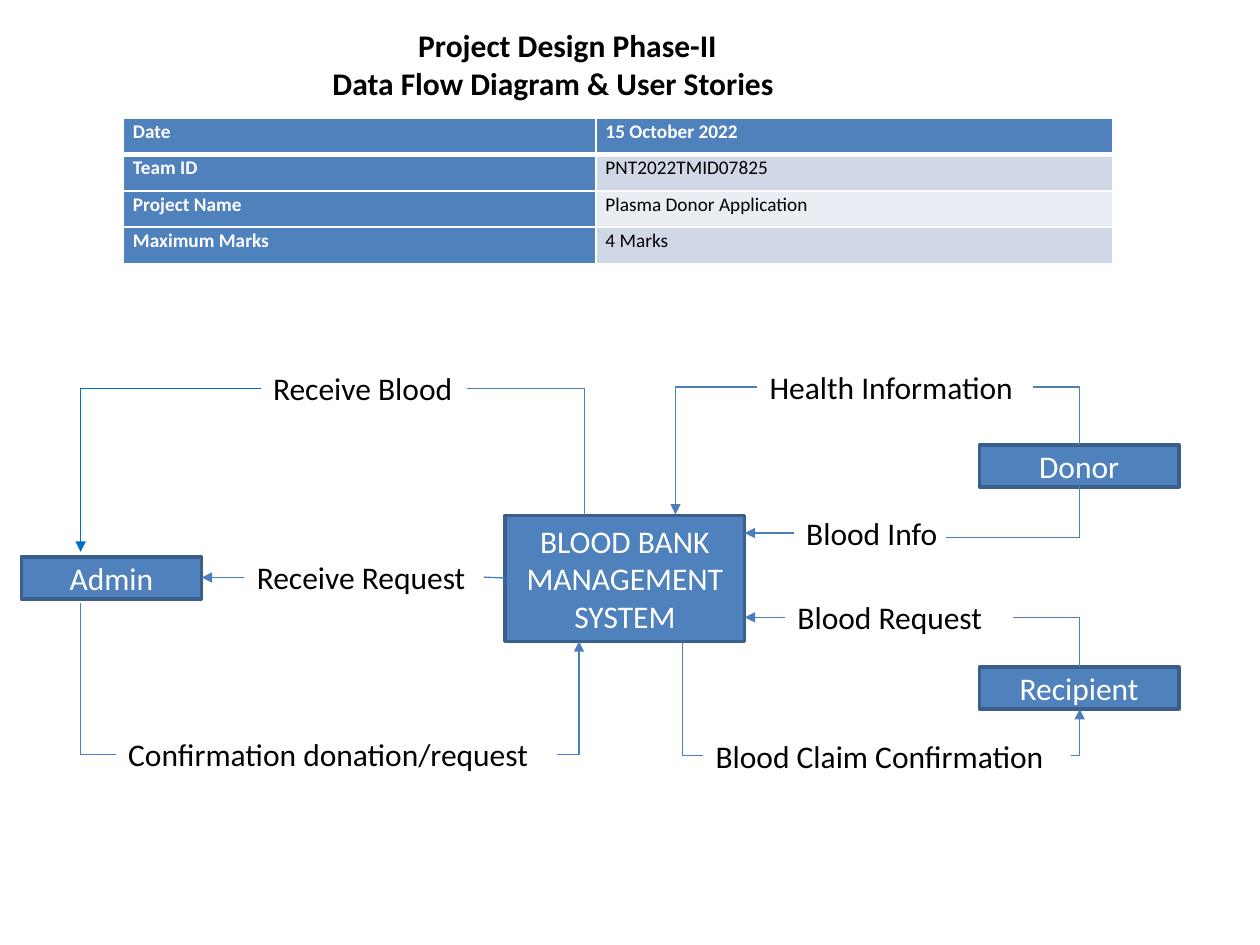
import pptx
import pptx.util
import pptx.dml.color
import pptx.enum.shapes
import pptx.enum.text
import pptx.oxml
import pptx.oxml.ns
from lxml import etree

Pt = pptx.util.Pt
RGB = pptx.dml.color.RGBColor
Align = pptx.enum.text.PP_ALIGN
Anchor = pptx.enum.text.MSO_ANCHOR
Link = pptx.enum.shapes.MSO_CONNECTOR
qn = pptx.oxml.ns.qn

BLACK = RGB(0x00, 0x00, 0x00)
WHITE = RGB(0xFF, 0xFF, 0xFF)
BLUE = RGB(0x4F, 0x81, 0xBD)
EDGE = RGB(0x3A, 0x5F, 0x8C)
FLOW = RGB(0x4B, 0x7E, 0xBC)
BRIGHT = RGB(0x00, 0x70, 0xC0)
BANDS = (RGB(0xE9, 0xED, 0xF4), RGB(0xD0, 0xD8, 0xE8))

ROWS = [
    ("Date", "15 October 2022"),
    ("Team ID", "PNT2022TMID07825"),
    ("Project Name", "Plasma Donor Application"),
    ("Maximum Marks", "4 Marks"),
]

# text, left, top, width, height
BOXES = [
    ("BLOOD BANK\nMANAGEMENT\nSYSTEM", 288.7, 294.5, 136.8, 72),
    ("Admin", 12.2, 318.2, 103, 24),
    ("Recipient", 559.7, 381.2, 114, 24),
    ("Donor", 559.7, 254.2, 114, 24),
]

# text, left, top, width
LABELS = [
    ("Health Information", 432.7, 206.8, 157.7),
    ("Blood Info", 453.6, 290.2, 95),
    ("Blood Request", 448.6, 338.4, 130.3),
    ("Blood Claim Confirmation", 401.8, 417.6, 210.2),
    ("Receive Blood", 149, 207.2, 118.1),
    ("Receive Request", 139.7, 315.4, 136.8),
    ("Confirmation donation/request", 66.2, 416.7, 252),
]

# x1, y1, x2, y2, arrow at end, colour; a bend leaves its start sideways
BENDS = [
    (149, 221.9, 46.1, 315.4, True, BRIGHT),
    (267.1, 221.9, 334.1, 294.5, False, FLOW),
    (590.4, 221.2, 617, 254.2, False, FLOW),
    (432.7, 221.2, 386, 294, True, FLOW),
    (540.7, 307.3, 617, 278, False, FLOW),
    (578.9, 352.8, 617, 381.2, False, FLOW),
    (401.8, 431.8, 390.2, 366.5, False, FLOW),
    (66.2, 431.1, 46.1, 344.7, False, FLOW),
    (318.2, 431.1, 330.9, 366.5, True, FLOW),
    (612, 431.8, 617, 405.2, True, FLOW),
]
LINES = [
    (139.7, 330, 115.2, 330, True, FLOW),
    (288.7, 330.3, 276.5, 329.8, False, FLOW),
    (453.6, 304.6, 425.5, 304.6, True, FLOW),
    (448.6, 352.8, 425.5, 352.8, True, FLOW),
]


def style(frame, size, color, bold=False, align=Align.LEFT):
    """Format every run of a text frame."""
    for para in frame.paragraphs:
        para.alignment = align
        for run in para.runs:
            font = run.font
            font.name, font.size, font.bold = "Calibri", Pt(size), bold
            font.color.rgb = color


def label(slide, text, left, top, width, height=28.8, bold=False):
    """Add plain black text and return its frame."""
    box = slide.shapes.add_textbox(Pt(left), Pt(top), Pt(width), Pt(height))
    frame = box.text_frame
    frame.word_wrap = True
    frame.text = text
    style(frame, 18, BLACK, bold)
    return frame


def title(slide):
    """Add the two-line heading with its first line set in."""
    text = "Project Design Phase-II\nData Flow Diagram & User Stories"
    frame = label(slide, text, 182.9, 11.5, 320.4, 72, True)
    props = frame.paragraphs[0]._p.get_or_add_pPr()
    props.set("marL", str(Pt(49)))
    props.set("indent", "0")


def box(slide, text, left, top, width, height):
    """Add a blue box with centred text."""
    kind = pptx.enum.shapes.MSO_SHAPE.RECTANGLE
    shape = slide.shapes.add_shape(kind, Pt(left), Pt(top), Pt(width), Pt(height))
    shape.shadow.inherit = False
    shape.fill.solid()
    shape.fill.fore_color.rgb = BLUE
    shape.line.color.rgb = EDGE
    shape.line.width = Pt(2)
    frame = shape.text_frame
    frame.word_wrap = True
    frame.vertical_anchor = Anchor.MIDDLE
    frame.text = text
    style(frame, 18, WHITE, align=Align.CENTER)


def flow(slide, kind, x1, y1, x2, y2, arrow, color):
    """Add a straight or once-bent line, with an arrow if asked."""
    line = slide.shapes.add_connector(kind, Pt(x1), Pt(y1), Pt(x2), Pt(y2))
    line.line.color.rgb = color
    line.line.width = Pt(0.75)
    props = line._element.spPr
    if kind == Link.ELBOW:
        props.find(qn("a:prstGeom")).set("prst", "bentConnector2")
    if arrow:
        tail = etree.SubElement(props.find(qn("a:ln")), qn("a:tailEnd"))
        tail.set("type", "triangle")
    etree.SubElement(props, qn("a:effectLst"))


def border(cell, side, width):
    """Put a white border on one side, ahead of the cell's fill."""
    props = cell._tc.get_or_add_tcPr()
    edge = etree.SubElement(props, qn("a:" + side), w=str(Pt(width)))
    fill = etree.SubElement(edge, qn("a:solidFill"))
    etree.SubElement(fill, qn("a:srgbClr"), val=str(WHITE))


def table(slide):
    """Add the project table."""
    frame = slide.shapes.add_table(len(ROWS), 2, Pt(70.6), Pt(67.7), Pt(565.2), Pt(82.8))
    grid = frame.table
    grid.columns[0].width, grid.columns[1].width = Pt(270), Pt(295.2)
    for r, row in enumerate(ROWS):
        for c, text in enumerate(row):
            cell = grid.cell(r, c)
            head = r == 0 or c == 0
            for side in ("lnL", "lnR", "lnT", "lnB"):
                thick = (r, side) in ((0, "lnB"), (1, "lnT"))
                border(cell, side, 3 if thick else 1)
            cell.fill.solid()
            cell.fill.fore_color.rgb = BLUE if head else BANDS[r % 2]
            cell.margin_left = cell.margin_right = Pt(5.4)
            cell.margin_top = cell.margin_bottom = 0
            cell.text_frame.text = text
            cell.text_frame.paragraphs[0].line_spacing = 1.07
            style(cell.text_frame, 11, WHITE if head else BLACK, head)


def main():
    """Build and save the slide."""
    deck = pptx.Presentation()
    deck.slide_width, deck.slide_height = Pt(720), Pt(540)
    slide = deck.slides.add_slide(deck.slide_layouts[6])
    title(slide)
    table(slide)
    for item in BOXES:
        box(slide, *item)
    for item in LABELS:
        label(slide, *item)
    for item in BENDS:
        flow(slide, Link.ELBOW, *item)
    for item in LINES:
        flow(slide, Link.STRAIGHT, *item)
    deck.save("out.pptx")


main()
